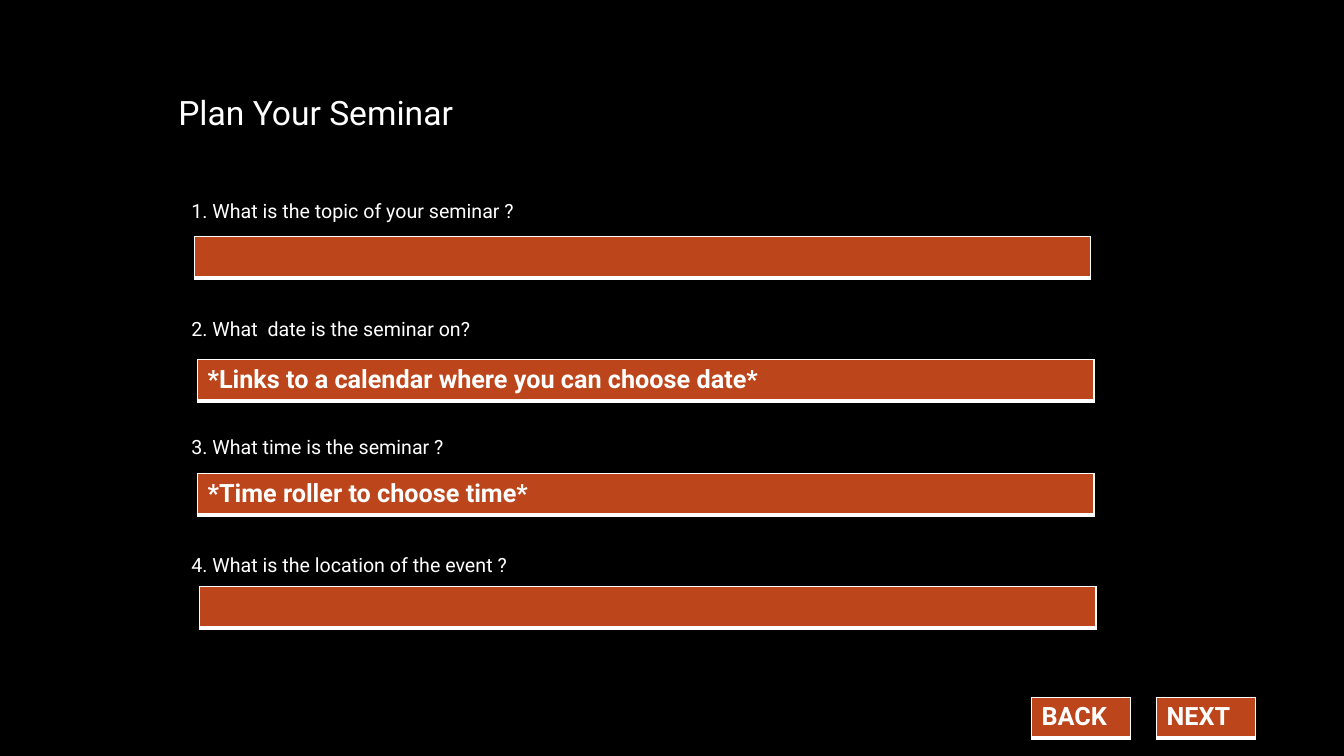
from dataclasses import dataclass

from lxml.etree import SubElement
from pptx import Presentation
from pptx.dml.color import RGBColor as Color
from pptx.oxml.ns import qn
from pptx.slide import Slide
from pptx.text.text import _Paragraph as Paragraph
from pptx.util import Inches, Pt


@dataclass(frozen=True)
class Theme:
    """Colours and type sizes of the form."""
    background: Color = Color(0, 0, 0)
    light: Color = Color(255, 255, 255)
    field: Color = Color(0xBC, 0x45, 0x1B)
    font: str = "Roboto"
    title_size: int = 24
    question_size: int = 14
    field_size: int = 18
    question_gap: float = 67.6


@dataclass(frozen=True)
class Field:
    """A bordered one-cell box of the form."""
    left: float
    top: float
    text: str = ""
    width: float = 8.89
    height: float = 0.41


@dataclass(frozen=True)
class TextBlock:
    """A text box with one paragraph per line."""
    left: float
    top: float
    width: float
    height: float
    size: int
    lines: tuple[str, ...]


THEME = Theme()
BORDERS = {"lnL": 1, "lnR": 1, "lnT": 1, "lnB": 3}
BUTTON = {"width": 0.98, "height": 0.4}

TEXT_BLOCKS = [
    TextBlock(1.67, 0.86, 3.49, 0.5, THEME.title_size, ("Plan Your Seminar",)),
    TextBlock(1.8, 1.92, 8.95, 4.11, THEME.question_size, (
        "1. What is the topic of your seminar ?",
        "2. What  date is the seminar on?",
        "3. What time is the seminar ?",
        "4. What is the location of the event ?",
    )),
]
FIELDS = [
    Field(1.93, 2.35),
    Field(1.96, 3.57, "*Links to a calendar where you can choose date*"),
    Field(1.96, 4.7, "*Time roller to choose time*"),
    Field(1.98, 5.82),
    Field(10.23, 6.92, "BACK", **BUTTON),
    Field(11.47, 6.92, "NEXT", **BUTTON),
]


def write(paragraph: Paragraph, text: str, size: int, bold: bool = False) -> None:
    """Fill a paragraph with light text in the theme font."""
    paragraph.text = text
    font = paragraph.font
    formats = {"name": THEME.font, "size": Pt(size), "bold": bold}
    for name, value in formats.items():
        setattr(font, name, value)
    font.color.rgb = THEME.light


def draw_text(slide: Slide, block: TextBlock) -> None:
    """Draw a text box with evenly spaced lines."""
    shape = slide.shapes.add_textbox(
        Inches(block.left), Inches(block.top), Inches(block.width), Inches(block.height))
    frame = shape.text_frame
    frame.word_wrap = True
    for index, line in enumerate(block.lines):
        paragraph = frame.add_paragraph() if index else frame.paragraphs[0]
        write(paragraph, line, block.size)
        if index:
            paragraph.space_before = Pt(THEME.question_gap)


def draw_field(slide: Slide, field: Field) -> None:
    """Draw a field as a one-cell table with a heavy bottom border."""
    table = slide.shapes.add_table(
        1, 1, Inches(field.left), Inches(field.top),
        Inches(field.width), Inches(field.height)).table
    for name in ("first_row", "horz_banding"):
        setattr(table, name, False)
    cell = table.cell(0, 0)
    write(cell.text_frame.paragraphs[0], field.text, THEME.field_size, True)
    properties = cell._tc.get_or_add_tcPr()
    for tag, weight in BORDERS.items():
        line = SubElement(properties, qn(f"a:{tag}"), w=str(Pt(weight)))
        fill = SubElement(line, qn("a:solidFill"))
        SubElement(fill, qn("a:srgbClr"), val=str(THEME.light))
    cell.fill.solid()
    cell.fill.fore_color.rgb = THEME.field


def main() -> None:
    """Build and save the seminar planning slide."""
    presentation = Presentation()
    presentation.slide_width = Inches(13.33)
    presentation.slide_height = Inches(7.5)
    slide = presentation.slides.add_slide(presentation.slide_layouts[6])
    slide.background.fill.solid()
    slide.background.fill.fore_color.rgb = THEME.background
    for block in TEXT_BLOCKS:
        draw_text(slide, block)
    for field in FIELDS:
        draw_field(slide, field)
    presentation.save("out.pptx")


if __name__ == "__main__":
    main()
